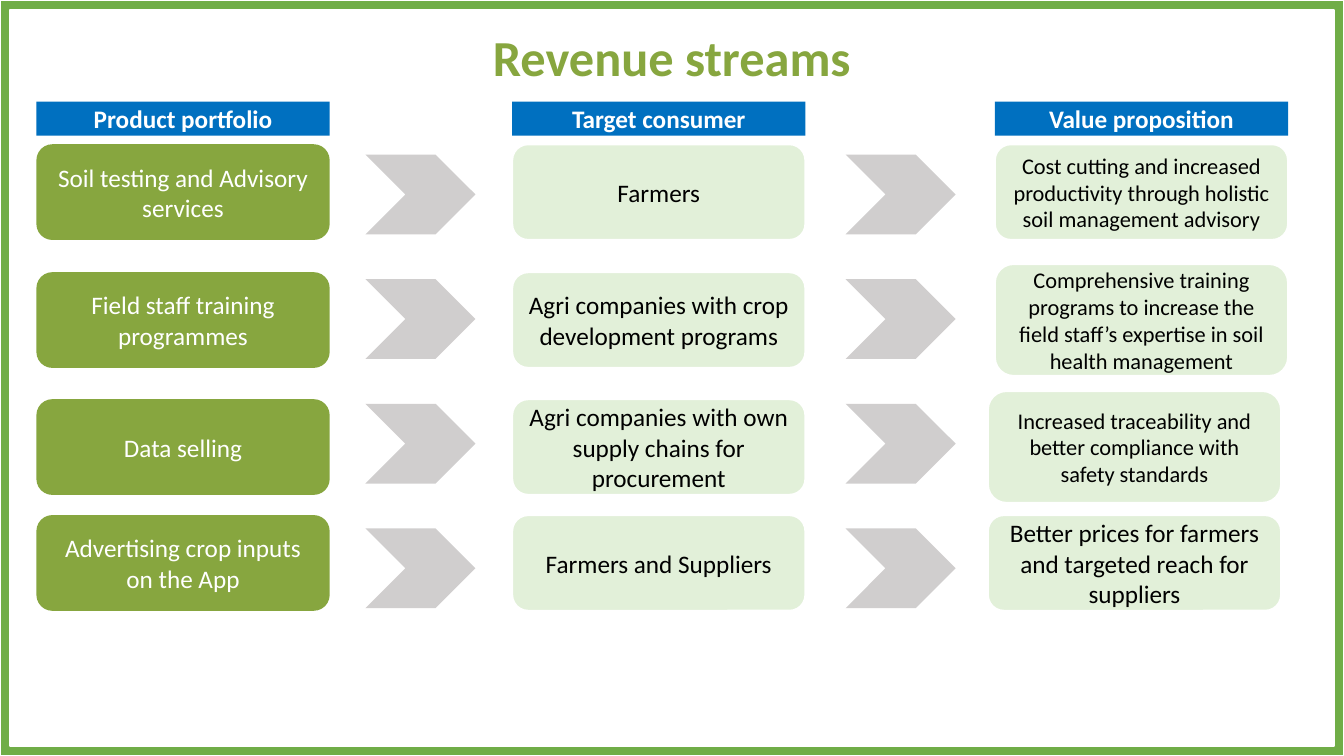
from dataclasses import dataclass

from pptx import Presentation
from pptx.dml.color import RGBColor
from pptx.enum import shapes, text
from pptx.util import Pt

# Content: one row per revenue stream
TITLE = "Revenue streams"
HEADERS = ["Product portfolio", "Target consumer", "Value proposition"]
STREAMS = [
    ("Soil testing and Advisory services", "Farmers",
     "Cost cutting and increased productivity through holistic soil management advisory"),
    ("Field staff training programmes", "Agri companies with crop development programs",
     "Comprehensive training programs to increase the field staff’s expertise in soil "
     "health management"),
    ("Data selling", "Agri companies with own supply chains for procurement",
     "Increased traceability and better compliance with safety standards"),
    ("Advertising crop inputs on the App", "Farmers and Suppliers",
     "Better prices for farmers and targeted reach for suppliers"),
]


@dataclass(frozen=True)
class Theme:
    font: str = "Calibri"
    frame: str = "70AD47"
    olive: str = "87A63F"
    blue: str = "0070C0"
    pale: str = "E2F0D9"
    arrow: str = "D0CECE"
    white: str = "FFFFFF"
    black: str = "000000"
    title_size: int = 36
    body_size: int = 18
    small_size: int = 16


THEME = Theme()

# Layout in points
SLIDE_WIDTH, SLIDE_HEIGHT = 960, 540
COLUMN_LEFTS = [26, 365.8, 710.6]
BOX_WIDTH, BOX_HEIGHT, TALL_HEIGHT = 209.5, 68.4, 80
HEADER_TOP, HEADER_HEIGHT = 72.6, 24.3
ROW_TOPS = [103, 194.4, 285.1, 367.9]
VALUE_SHIFTS = [0, 0, -5, -5]
VALUE_HEIGHTS = [BOX_HEIGHT, TALL_HEIGHT, TALL_HEIGHT, BOX_HEIGHT]
VALUE_SIZES = [THEME.small_size] * 3 + [THEME.body_size]
ARROW_LEFTS = [261, 604]
ARROW_WIDTH, ARROW_HEIGHT = 78.6, 57
ARROW_TOP, ARROW_STEP = 110.4, 89

SHAPE = shapes.MSO_SHAPE


def write(shape, words, size=THEME.body_size, color=THEME.black, bold=False, spacing=None):
    frame = shape.text_frame
    frame.word_wrap = True
    frame.auto_size = text.MSO_AUTO_SIZE.NONE
    frame.vertical_anchor = text.MSO_ANCHOR.MIDDLE
    paragraph = frame.paragraphs[0]
    paragraph.alignment = text.PP_ALIGN.CENTER
    if spacing:
        paragraph.line_spacing = spacing
    run = paragraph.add_run()
    run.text = words
    run.font.name = THEME.font
    run.font.size = Pt(size)
    run.font.bold = bold
    run.font.color.rgb = RGBColor.from_string(color)


def add_block(slide, kind, left, top, width, height, fill, outlined=False):
    shape = slide.shapes.add_shape(kind, Pt(left), Pt(top), Pt(width), Pt(height))
    shape.shadow.inherit = False
    shape.fill.solid()
    shape.fill.fore_color.rgb = RGBColor.from_string(fill)
    if outlined:
        shape.line.color.rgb = RGBColor.from_string(THEME.white)
        shape.line.width = Pt(1.5)
    else:
        shape.line.fill.background()
    return shape


def main():
    presentation = Presentation()
    presentation.slide_width, presentation.slide_height = Pt(SLIDE_WIDTH), Pt(SLIDE_HEIGHT)
    slide = presentation.slides.add_slide(presentation.slide_layouts[5])

    # Border and title
    border = add_block(slide, SHAPE.FRAME, 0, 0, SLIDE_WIDTH, SLIDE_HEIGHT, THEME.frame, True)
    border.adjustments[0] = 0.013
    title = slide.shapes.title
    title.left, title.top, title.width, title.height = Pt(178.6), Pt(20), Pt(602.6), Pt(46)
    write(title, TITLE, size=THEME.title_size, color=THEME.olive, bold=True, spacing=0.9)

    # Column headers
    for left, header in zip(COLUMN_LEFTS, HEADERS):
        bar = add_block(slide, SHAPE.RECTANGLE, left, HEADER_TOP, BOX_WIDTH, HEADER_HEIGHT,
                        THEME.blue)
        write(bar, header, color=THEME.white, bold=True)

    # Rows of boxes; tall value boxes stay centred on their row
    for row, (top, stream) in enumerate(zip(ROW_TOPS, STREAMS)):
        for column, (left, words) in enumerate(zip(COLUMN_LEFTS, stream)):
            is_product, is_value = column == 0, column == 2
            height = VALUE_HEIGHTS[row] if is_value else BOX_HEIGHT
            shift = VALUE_SHIFTS[row] if is_value else 0
            box = add_block(slide, SHAPE.ROUNDED_RECTANGLE, left + shift,
                            top - (height - BOX_HEIGHT) / 2, BOX_WIDTH, height,
                            THEME.olive if is_product else THEME.pale, not is_product)
            write(box, words, size=VALUE_SIZES[row] if is_value else THEME.body_size,
                  color=THEME.white if is_product else THEME.black)

        # Chevrons between the columns
        for left in ARROW_LEFTS:
            add_block(slide, SHAPE.CHEVRON, left, ARROW_TOP + row * ARROW_STEP,
                      ARROW_WIDTH, ARROW_HEIGHT, THEME.arrow)

    presentation.save("out.pptx")


if __name__ == "__main__":
    main()
